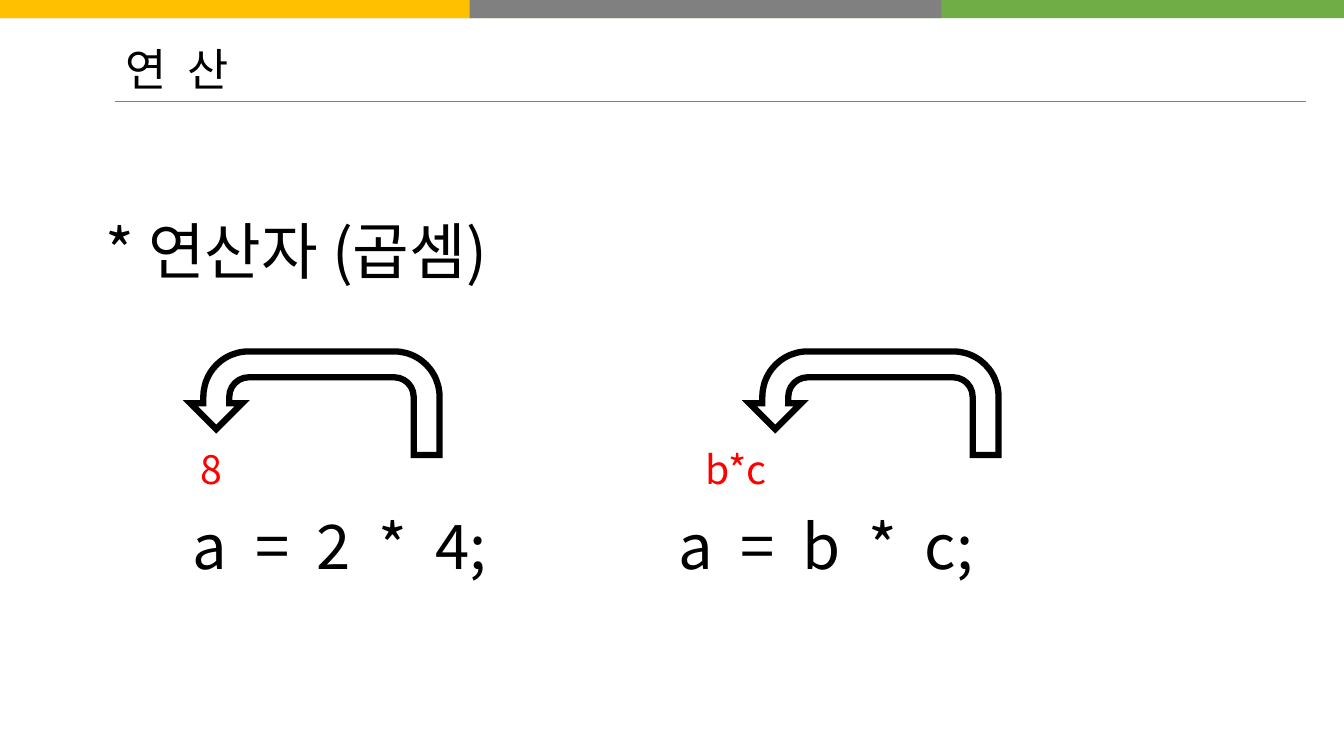
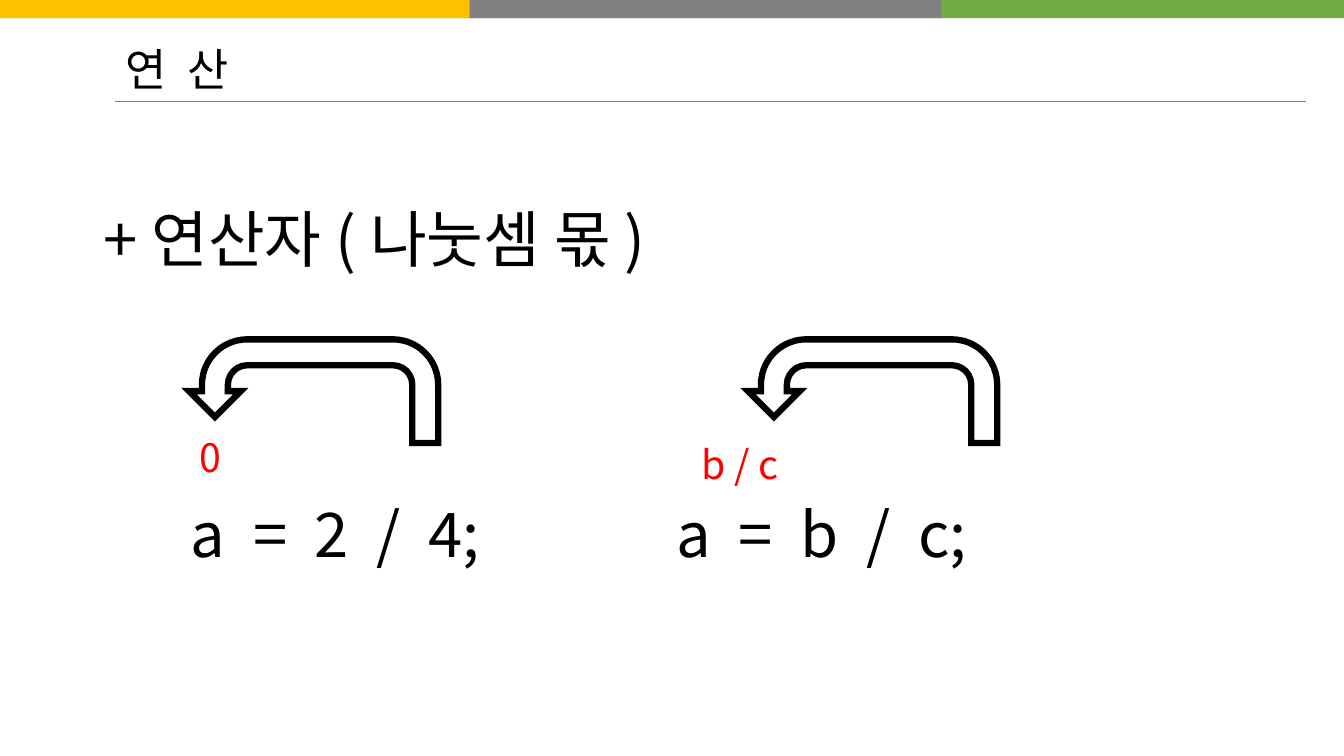
from dataclasses import dataclass

from lxml.etree import SubElement
from pptx import Presentation
from pptx.dml.color import RGBColor
from pptx.enum.shapes import MSO_CONNECTOR, MSO_SHAPE
from pptx.enum.text import MSO_ANCHOR, MSO_AUTO_SIZE, PP_ALIGN
from pptx.oxml.ns import qn
from pptx.util import Pt


@dataclass(frozen=True)
class Theme:
    """Colours, font and type sizes of the deck."""
    font: str = "Noto Sans CJK KR"
    ink: str = "000000"
    paper: str = "FFFFFF"
    result: str = "FF0000"
    gold: str = "FFC000"
    gray: str = "808080"
    green: str = "70AD47"
    title: int = 32
    body: int = 44
    label: int = 28


T = Theme()
W, H = 960, 540
BANDS = [(0, W, T.green), (0, 337, T.gold), (335.5, 337, T.gray)]
ARROW_STEP = 399.3
EQUATION_STEP = 347


def write(sp, box, text, size, color):
    """Place a text shape and fill it with one plain left-aligned line."""
    sp.left, sp.top, sp.width, sp.height = map(Pt, box)
    tf = sp.text_frame
    tf.text = text
    tf.word_wrap = True
    tf.auto_size = MSO_AUTO_SIZE.NONE
    tf.vertical_anchor = MSO_ANCHOR.TOP
    tf.margin_top = tf.margin_bottom = 0
    p = tf.paragraphs[0]
    p.alignment = PP_ALIGN.LEFT
    p.space_before = Pt(0)
    pPr = p._p.get_or_add_pPr()
    pPr.set("marL", "0")
    pPr.set("indent", "0")
    SubElement(pPr, qn("a:buNone"))
    r = p.runs[0]
    r.font.size = Pt(size)
    r.font.name = T.font
    r.font.color.rgb = RGBColor.from_string(color)
    SubElement(r.font._element, qn("a:ea"), typeface=T.font)


def add_filled(s, kind, box, color):
    """Add a flat preset shape without an outline or shadow."""
    sp = s.shapes.add_shape(kind, *map(Pt, box))
    sp.shadow.inherit = False
    sp.fill.solid()
    sp.fill.fore_color.rgb = RGBColor.from_string(color)
    sp.line.fill.background()
    return sp


# heading, equations, left and top of the content, labels as (text, x, y, width)
SLIDES = [
    ("* 연산자 (곱셈)", ("a  =  2  *  4;", "a  =  b  *  c;"), 68.2, 152,
     136, 251, [("8", 136, 317.8, 41), ("b*c", 496.8, 317.8, 63)]),
    ("+ 연산자 ( 나눗셈 몫 )", ("a  =  2  /  4;", "a  =  b  /  c;"), 66.8, 143.4,
     135, 242.4, [("0", 135.5, 309.8, 41), ("b / c", 494, 314.8, 82)]),
]

prs = Presentation()
prs.slide_width, prs.slide_height = Pt(W), Pt(H)

for heading, equations, body_x, body_y, arrow_x, arrow_y, labels in SLIDES:
    s = prs.slides.add_slide(prs.slide_layouts[1])
    write(s.shapes.title, (82.8, 29.7, 283, 43), "연  산", T.title, T.ink)

    rule = s.shapes.add_connector(MSO_CONNECTOR.STRAIGHT, Pt(82.5), Pt(72.7), Pt(933), Pt(72.7))
    rule.line.color.rgb = RGBColor.from_string(T.gray)
    rule.line.width = Pt(1)
    SubElement(rule.element.spPr, qn("a:effectLst"))

    for x, width, color in BANDS:
        add_filled(s, MSO_SHAPE.RECTANGLE, (x, 0, width, 13), color)

    write(s.placeholders[1], (body_x, body_y, 860, 64), heading, T.body, T.ink)

    for i, equation in enumerate(equations):
        box = (body_x + 62.5 + i * EQUATION_STEP, body_y + 211, 330, 64)
        write(s.shapes.add_textbox(0, 0, 0, 0), box, equation, T.body, T.ink)

        box = (arrow_x + i * ARROW_STEP, arrow_y, 178, 74)
        arrow = add_filled(s, MSO_SHAPE.U_TURN_ARROW, box, T.paper)
        arrow.line.color.rgb = RGBColor.from_string(T.ink)
        arrow.line.width = Pt(4.5)
        SubElement(arrow.line._get_or_add_ln(), qn("a:miter"), lim="800000")
        arrow.element.spPr.get_or_add_xfrm().set("flipH", "1")

    for text, x, y, width in labels:
        write(s.shapes.add_textbox(0, 0, 0, 0), (x, y, width, 41), text, T.label, T.result)

prs.save("out.pptx")
